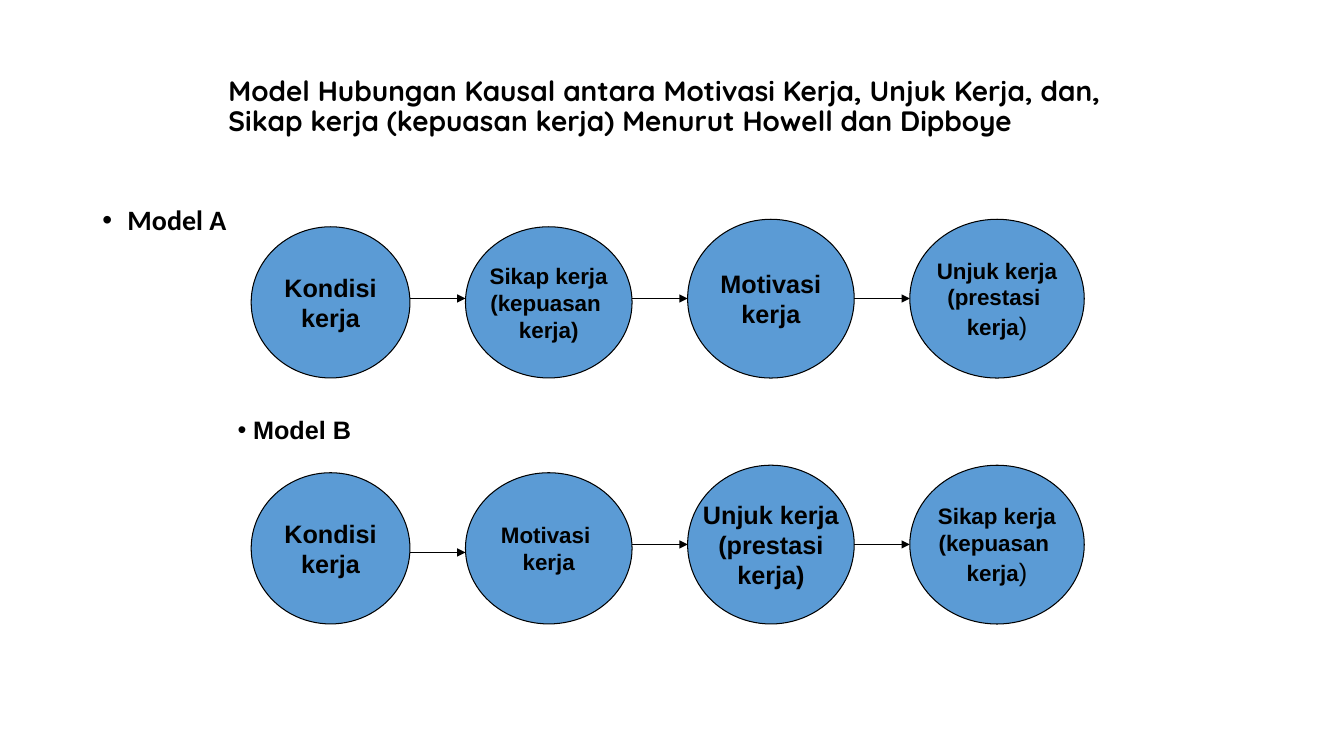
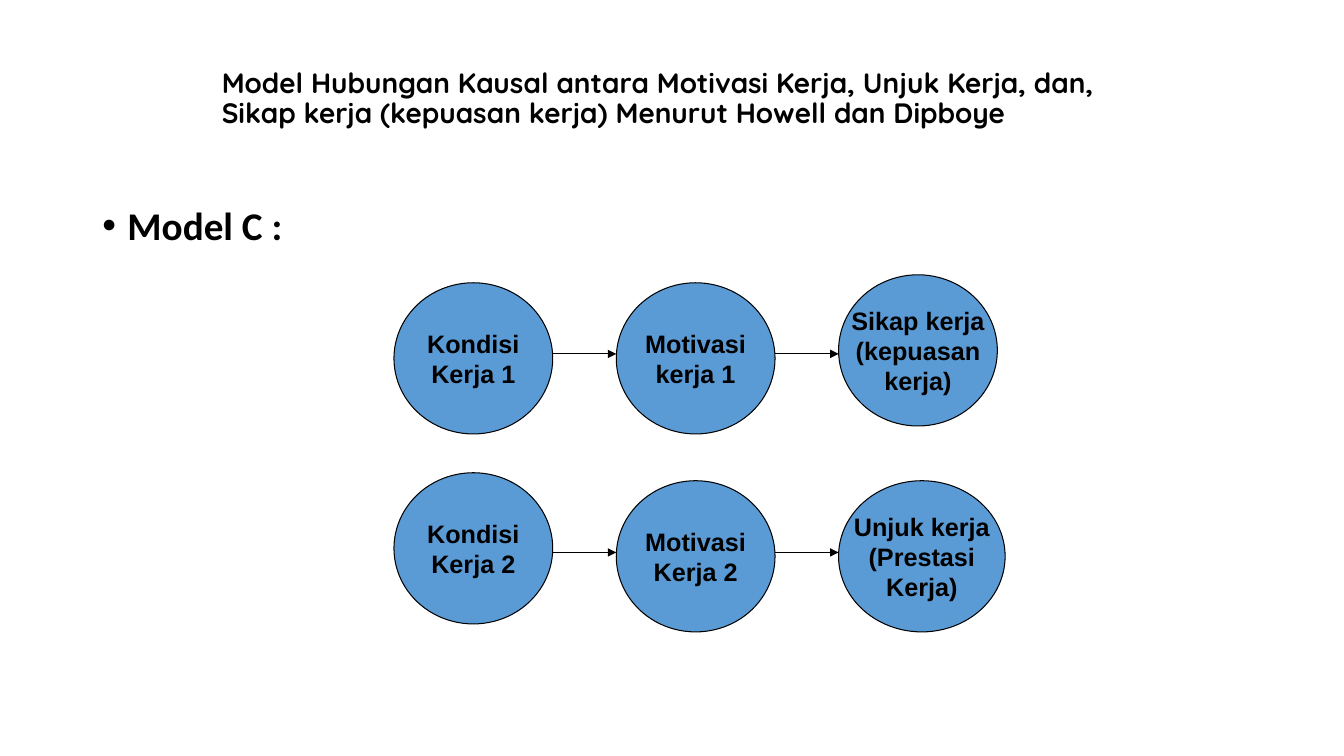
import dataclasses

import lxml.etree
import pptx
import pptx.dml.color
import pptx.enum.shapes
import pptx.enum.text
import pptx.oxml.ns
import pptx.util

Pt = pptx.util.Pt
qn = pptx.oxml.ns.qn


@dataclasses.dataclass(frozen=True)
class Theme:
    ink: str = "000000"
    node_fill: str = "5B9BD5"
    title_font: str = "Quicksand"
    label_font: str = "Calibri"
    node_font: str = "Arial"
    title_size: float = 20
    large_size: float = 28
    label_size: float = 20
    node_size: float = 18
    small_size: float = 16
    line_width: float = 0.75
    line_spacing: float = 0.9


@dataclasses.dataclass(frozen=True)
class Node:
    lines: tuple
    size: float = Theme.node_size
    width: float = 113.4
    height: float = 108
    lift: float = 0
    light_ending: str = ""


class CausalDeck:
    def __init__(self, theme):
        self.theme = theme
        self.presentation = pptx.Presentation()
        self.presentation.slide_width = Pt(960)
        self.presentation.slide_height = Pt(540)
        self.slide = None

    def color(self, value):
        return pptx.dml.color.RGBColor.from_string(value)

    def run(self, paragraph, text, font, size, bold=True):
        run = paragraph.add_run()
        run.text = text
        run.font.name = font
        run.font.size = Pt(size)
        run.font.bold = bold
        run.font.color.rgb = self.color(self.theme.ink)

    def add_slide(self, title, left, top, width, height):
        layout = self.presentation.slide_layouts[5]
        self.slide = self.presentation.slides.add_slide(layout)
        shape = self.slide.shapes.title
        shape.left, shape.top = Pt(left), Pt(top)
        shape.width, shape.height = Pt(width), Pt(height)
        frame = shape.text_frame
        frame.word_wrap = True
        frame.auto_size = pptx.enum.text.MSO_AUTO_SIZE.NONE
        frame.vertical_anchor = pptx.enum.text.MSO_ANCHOR.MIDDLE
        paragraph = frame.paragraphs[0]
        paragraph.alignment = pptx.enum.text.PP_ALIGN.LEFT
        paragraph.line_spacing = self.theme.line_spacing
        self.run(paragraph, title, self.theme.title_font, self.theme.title_size)

    def bullet(self, text, left, top, width, height, font, size, indent, spacing):
        box = self.slide.shapes.add_textbox(Pt(left), Pt(top), Pt(width), Pt(height))
        box.text_frame.word_wrap = True
        paragraph = box.text_frame.paragraphs[0]
        paragraph.line_spacing = spacing
        properties = paragraph._p.get_or_add_pPr()
        properties.set("marL", str(Pt(indent)))
        properties.set("indent", str(-Pt(indent)))
        bullet_font = lxml.etree.SubElement(properties, qn("a:buFont"))
        bullet_font.set("typeface", self.theme.node_font)
        lxml.etree.SubElement(properties, qn("a:buChar")).set("char", "•")
        self.run(paragraph, text, font, size)

    def heading(self, text, size):
        self.bullet(text, 66, 144, 828, 343, self.theme.label_font, size,
                    18, self.theme.line_spacing)

    def node(self, node, left, bottom):
        shape = self.slide.shapes.add_shape(
            pptx.enum.shapes.MSO_SHAPE.OVAL, Pt(left),
            Pt(bottom - node.lift - node.height), Pt(node.width), Pt(node.height))
        shape.shadow.inherit = False
        shape.fill.solid()
        shape.fill.fore_color.rgb = self.color(self.theme.node_fill)
        shape.line.color.rgb = self.color(self.theme.ink)
        shape.line.width = Pt(self.theme.line_width)
        frame = shape.text_frame
        frame.word_wrap = False
        frame.vertical_anchor = pptx.enum.text.MSO_ANCHOR.MIDDLE
        for index, line in enumerate(node.lines):
            paragraph = frame.add_paragraph() if index else frame.paragraphs[0]
            paragraph.alignment = pptx.enum.text.PP_ALIGN.CENTER
            self.run(paragraph, line, self.theme.node_font, node.size)
        if node.light_ending:
            self.run(paragraph, node.light_ending, self.theme.node_font,
                     self.theme.node_size, False)

    def arrow(self, start, end, height):
        connector = self.slide.shapes.add_connector(
            pptx.enum.shapes.MSO_CONNECTOR.STRAIGHT,
            Pt(start), Pt(height), Pt(end), Pt(height))
        connector.line.color.rgb = self.color(self.theme.ink)
        connector.line.width = Pt(self.theme.line_width)
        properties = connector.element.spPr
        outline = properties.find(qn("a:ln"))
        lxml.etree.SubElement(outline, qn("a:tailEnd")).set("type", "triangle")
        lxml.etree.SubElement(properties, qn("a:effectLst"))

    def chain(self, nodes, left, bottom, gap, arrow_heights):
        for index, node in enumerate(nodes):
            self.node(node, left, bottom)
            left += node.width
            if index < len(arrow_heights):
                self.arrow(left, left + gap, arrow_heights[index])
            left += gap


def main():
    theme = Theme()
    deck = CausalDeck(theme)
    title = ("Model Hubungan Kausal antara Motivasi Kerja, Unjuk Kerja, dan, "
             "Sikap kerja (kepuasan kerja) Menurut Howell dan Dipboye")
    small = {"size": theme.small_size, "width": 119}
    tall = {"width": 119, "height": 113.4}
    ending = {"size": theme.small_size, "width": 124.6, "height": 113.4,
              "light_ending": ")"}
    condition = Node(("Kondisi", "kerja"))

    deck.add_slide(title, 156, 37.5, 648, 79)
    deck.heading("Model A", theme.label_size)
    deck.chain((
        condition,
        Node(("Sikap kerja", "(kepuasan ", "kerja)"), **small),
        Node(("Motivasi", "kerja"), **tall),
        Node(("Unjuk kerja", "(prestasi ", "kerja"), **ending),
    ), 179.4, 270, 39.7, (213.2,) * 3)
    deck.bullet("Model B", 162.7, 292.4, 130, 29, theme.node_font,
                theme.node_size, 11, 1.0)
    deck.chain((
        condition,
        Node(("Motivasi ", "kerja"), **small),
        Node(("Unjuk kerja", "(prestasi", "kerja)"), **tall),
        Node(("Sikap kerja", "(kepuasan ", "kerja"), **ending),
    ), 179.4, 445.7, 39.7, (394.6, 388.9, 388.9))

    deck.add_slide(title, 151.2, 26, 648, 90)
    deck.heading("Model C :", theme.large_size)
    deck.chain((
        Node(("Kondisi", "Kerja 1")),
        Node(("Motivasi", "kerja 1")),
        Node(("Sikap kerja", "(kepuasan", "kerja)"), lift=5.7),
    ), 281.4, 310, 45.4, (252.8,) * 2)
    deck.chain((
        Node(("Kondisi", "Kerja 2"), lift=5.7),
        Node(("Motivasi", "Kerja 2")),
        Node(("Unjuk kerja", "(Prestasi", "Kerja)"), width=119),
    ), 281.4, 451.4, 45.4, (394.6,) * 2)

    deck.presentation.save("out.pptx")


if __name__ == "__main__":
    main()
